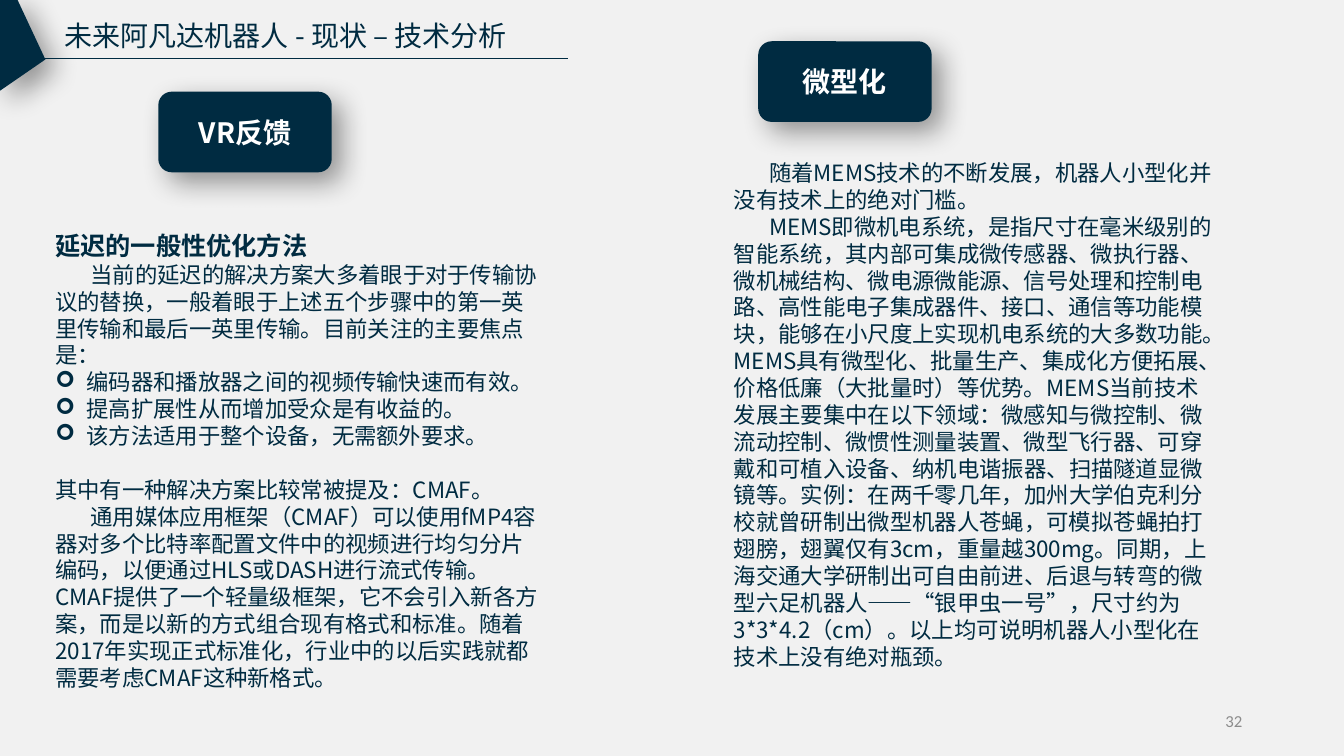
from dataclasses import dataclass

from lxml import etree
from pptx import Presentation
from pptx.dml.color import RGBColor
from pptx.enum.shapes import MSO_CONNECTOR, MSO_SHAPE
from pptx.enum.text import MSO_ANCHOR, PP_ALIGN
from pptx.oxml.ns import qn
from pptx.util import Inches, Pt

LEFT, CENTER, RIGHT = PP_ALIGN.LEFT, PP_ALIGN.CENTER, PP_ALIGN.RIGHT
TOP, MIDDLE = MSO_ANCHOR.TOP, MSO_ANCHOR.MIDDLE
ROUND, STRAIGHT = MSO_SHAPE.ROUNDED_RECTANGLE, MSO_CONNECTOR.STRAIGHT


@dataclass(frozen=True)
class Theme:
    navy: str = "002B41"
    white: str = "FFFFFF"
    gray: str = "8C8C8C"
    back: str = "F1F1F1"
    shade: str = "000000"
    font: str = "Noto Sans CJK SC"
    plain: str = "Calibri"
    title: int = 20
    head: int = 18
    body: int = 16
    small: int = 12
    pitch: float = 1.2


THEME = Theme()


@dataclass(frozen=True)
class Para:
    text: str
    size: int = THEME.body
    bold: bool = False
    first: float = 0
    bullet: str = ""
    before: float = 0


@dataclass(frozen=True)
class Panel:
    label: str
    tag: tuple[float, float]
    box: tuple[float, float, float, float]
    paras: tuple[Para, ...]


LEAD = 0.35
HANG = 0.31
TAG_SIZE = (1.72, 0.8)
POINTS = (
    "编码器和播放器之间的视频传输快速而有效。",
    "提高扩展性从而增加受众是有收益的。",
    "该方法适用于整个设备，无需额外要求。",
)
PANELS = (
    Panel("VR反馈", (1.57, 0.91), (0.45, 2.24, 5.03, 4.71), (
        Para("延迟的一般性优化方法", size=THEME.head, bold=True),
        Para("当前的延迟的解决方案大多着眼于对于传输协议的替换，一般着眼于上述五个步骤中的"
             "第一英里传输和最后一英里传输。目前关注的主要焦点是：", first=LEAD),
        *(Para(point, bullet="➢") for point in POINTS),
        Para("其中有一种解决方案比较常被提及：CMAF。", before=THEME.body * THEME.pitch),
        Para("通用媒体应用框架（CMAF）可以使用fMP4容器对多个比特率配置文件中的视频进行"
             "均匀分片编码，以便通过HLS或DASH进行流式传输。CMAF提供了一个轻量级框架，"
             "它不会引入新各方案，而是以新的方式组合现有格式和标准。随着2017年实现正式标准化，"
             "行业中的以后实践就都需要考虑CMAF这种新格式。", first=LEAD),
    )),
    Panel("微型化", (7.52, 0.41), (7.18, 1.53, 5.03, 5.22), (
        Para("随着MEMS技术的不断发展，机器人小型化并没有技术上的绝对门槛。", first=LEAD),
        Para("MEMS即微机电系统，是指尺寸在毫米级别的智能系统，其内部可集成微传感器、"
             "微执行器、微机械结构、微电源微能源、信号处理和控制电路、高性能电子集成器件、"
             "接口、通信等功能模块，能够在小尺度上实现机电系统的大多数功能。MEMS具有微型化、"
             "批量生产、集成化方便拓展、价格低廉（大批量时）等优势。MEMS当前技术发展主要集中在"
             "以下领域：微感知与微控制、微流动控制、微惯性测量装置、微型飞行器、可穿戴和可植入设备、"
             "纳机电谐振器、扫描隧道显微镜等。实例：在两千零几年，加州大学伯克利分校就曾研制出"
             "微型机器人苍蝇，可模拟苍蝇拍打翅膀，翅翼仅有3cm，重量越300mg。同期，"
             "上海交通大学研制出可自由前进、后退与转弯的微型六足机器人——“银甲虫一号”，"
             "尺寸约为3*3*4.2（cm）。以上均可说明机器人小型化在技术上没有绝对瓶颈。", first=LEAD),
    )),
)
CORNER = ((0.17, -0.01), (0, -0.01), (0, 0.9), (0.45, 0.59))


def write(para, text: str, *, size: int, color: str = THEME.navy,
          font: str = THEME.font, bold: bool = False, align=LEFT) -> None:
    para.alignment = align
    para.line_spacing = Pt(size * THEME.pitch)
    run = para.add_run()
    run.text = text
    run.font.size = Pt(size)
    run.font.bold = bold
    run.font.color.rgb = RGBColor.from_string(color)
    run.font.name = font
    latin = run.font._element.find(qn("a:latin"))
    latin.addnext(latin.makeelement(qn("a:ea"), {"typeface": font}))


def add_box(slide, box: tuple, *, wrap: bool = True, anchor=TOP):
    frame = slide.shapes.add_textbox(*map(Inches, box)).text_frame
    frame.word_wrap = wrap
    frame.vertical_anchor = anchor
    return frame


def style(shape) -> None:
    shape.fill.solid()
    shape.fill.fore_color.rgb = RGBColor.from_string(THEME.navy)
    shape.line.fill.background()
    shape.shadow.inherit = False
    effects = shape._element.spPr.find(qn("a:effectLst"))
    shadow = etree.SubElement(effects, qn("a:outerShdw"), {
        "blurRad": str(Pt(20)), "dist": str(Pt(10)), "dir": str(45 * 60000),
        "algn": "tl", "rotWithShape": "0"})
    color = etree.SubElement(shadow, qn("a:srgbClr"), val=THEME.shade)
    etree.SubElement(color, qn("a:alpha"), val="40000")


def add_para(para, item: Para) -> None:
    props = para._p.get_or_add_pPr()
    if item.bullet:
        props.set("marL", str(Inches(HANG)))
        props.set("indent", str(-Inches(HANG)))
        etree.SubElement(props, qn("a:buFont"), typeface="Wingdings")
        etree.SubElement(props, qn("a:buChar"), char=item.bullet)
    elif item.first:
        props.set("indent", str(Inches(item.first)))
    if item.before:
        para.space_before = Pt(item.before)
    write(para, item.text, size=item.size, bold=item.bold)


def add_panel(slide, panel: Panel) -> None:
    tag = slide.shapes.add_shape(ROUND, *map(Inches, panel.tag + TAG_SIZE))
    style(tag)
    tag.text_frame.vertical_anchor = MIDDLE
    write(tag.text_frame.paragraphs[0], panel.label, size=THEME.title,
          color=THEME.white, bold=True, align=CENTER)
    frame = add_box(slide, panel.box)
    for place, item in enumerate(panel.paras):
        add_para(frame.add_paragraph() if place else frame.paragraphs[0], item)


def add_header(slide) -> None:
    title = add_box(slide, (0.54, 0.13, 4.83, 0.44), wrap=False)
    write(title.paragraphs[0], "未来阿凡达机器人 - 现状 – 技术分析", size=THEME.title)
    start, *rest = [(Inches(x), Inches(y)) for x, y in CORNER]
    corner = slide.shapes.build_freeform(*start)
    corner.add_line_segments(rest, close=True)
    style(corner.convert_to_shape())
    rule = slide.shapes.add_connector(STRAIGHT, *map(Inches, (0.22, 0.58, 5.63, 0.58)))
    rule.line.color.rgb = RGBColor.from_string(THEME.navy)
    rule.line.width = Pt(0.63)
    etree.SubElement(rule._element.spPr, qn("a:effectLst"))


def main() -> None:
    deck = Presentation()
    deck.slide_width, deck.slide_height = Inches(13.33), Inches(7.5)
    slide = deck.slides.add_slide(deck.slide_layouts[6])
    slide.background.fill.solid()
    slide.background.fill.fore_color.rgb = RGBColor.from_string(THEME.back)
    add_header(slide)
    number = add_box(slide, (9.42, 6.95, 3, 0.4), anchor=MIDDLE)
    write(number.paragraphs[0], "32", size=THEME.small, color=THEME.gray,
          font=THEME.plain, align=RIGHT)
    for panel in PANELS:
        add_panel(slide, panel)
    deck.save("out.pptx")


if __name__ == "__main__":
    main()
